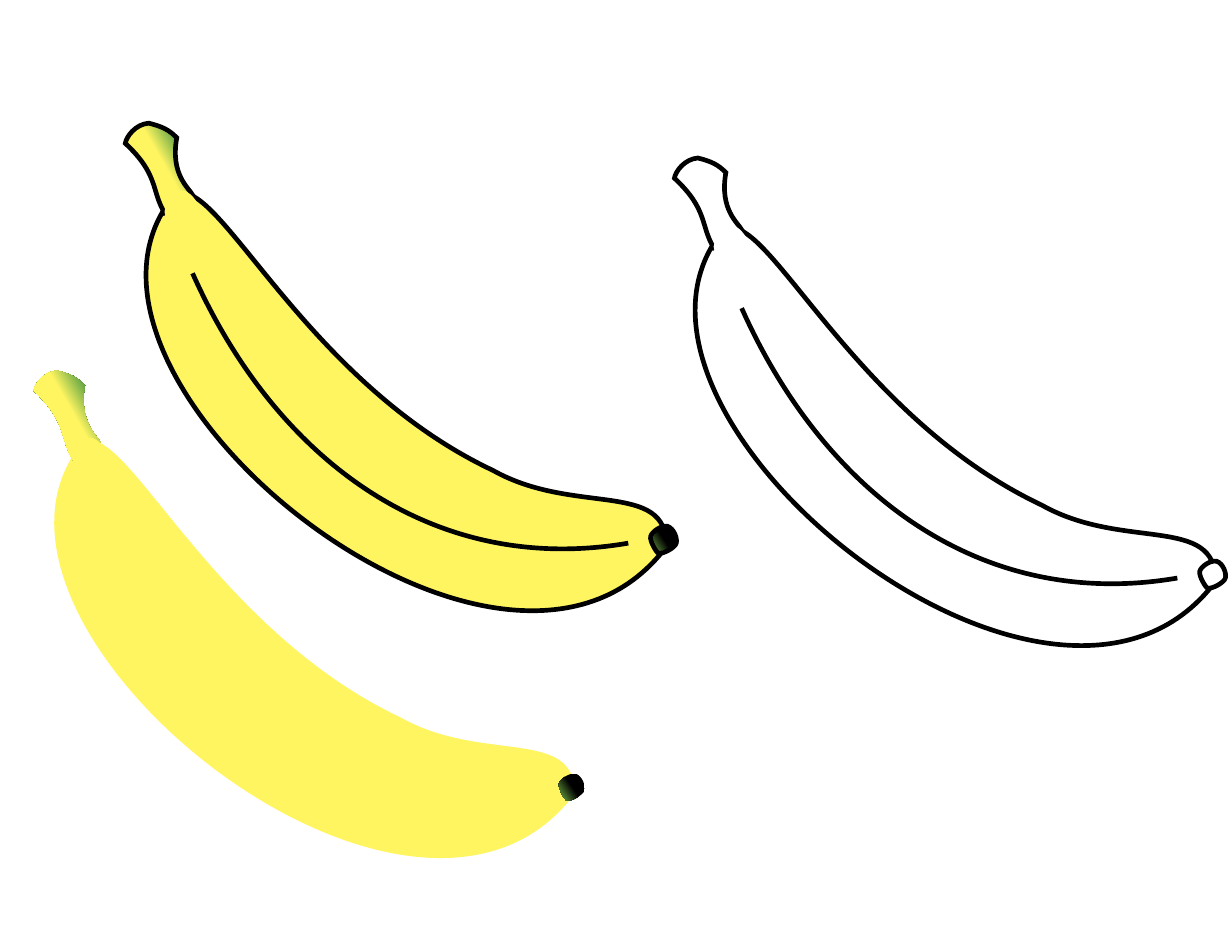
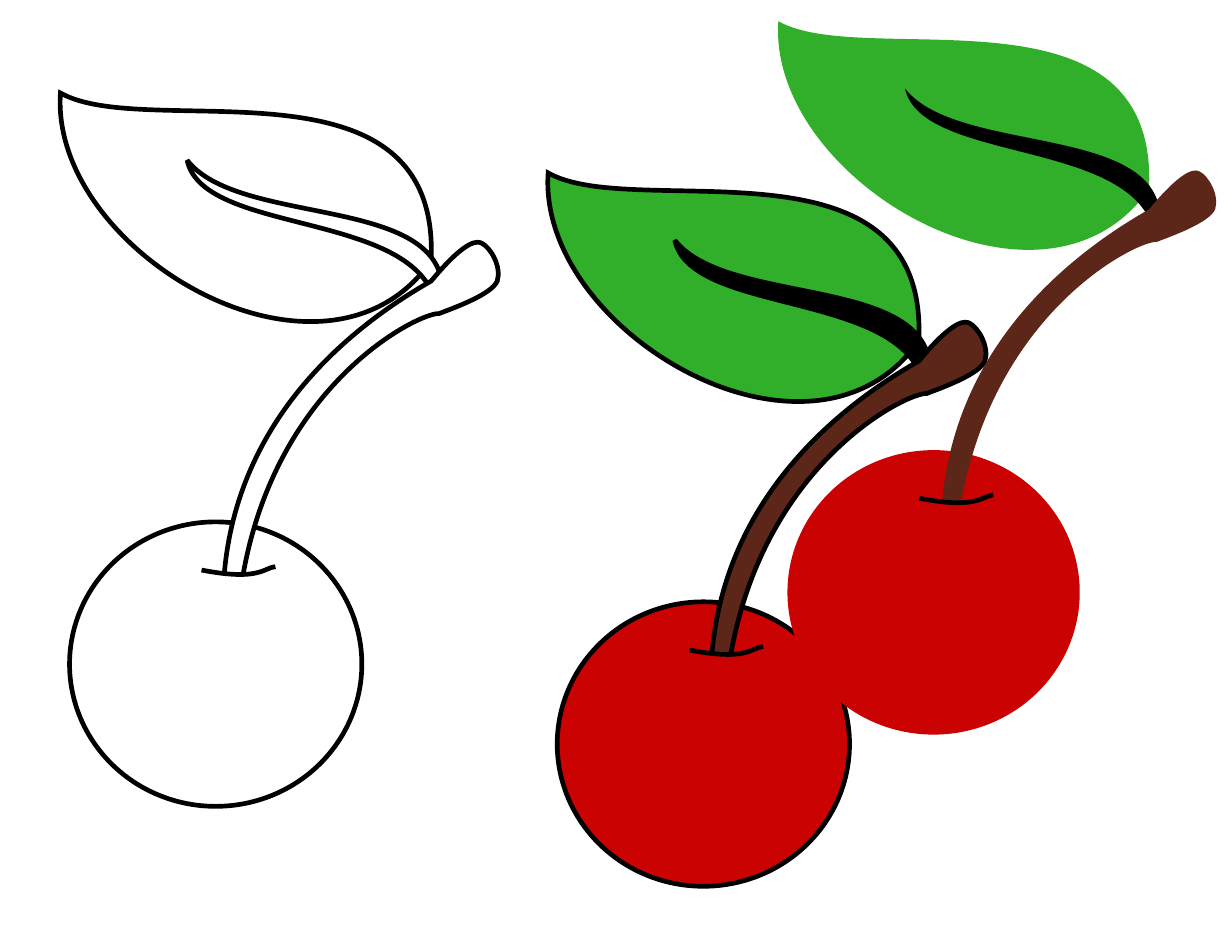
"""Build two slides of fruit drawings: bananas and cherries."""
from copy import deepcopy

from lxml import etree
from pptx import Presentation
from pptx.dml.color import RGBColor
from pptx.enum.shapes import MSO_SHAPE
from pptx.oxml.ns import qn
from pptx.util import Pt

ELLIPSE = MSO_SHAPE.OVAL
BLACK, WHITE = "000000", "FFFFFF"
YELLOW, STEM_GREEN = "FFF561", "70AD47"
LEAF_GREEN, RED, BROWN = "31AF2A", "CA0202", "5C2718"
OUTLINE_WIDTH = 3
CURVE_STEPS = 40

STEM_GRADIENT = ([(0, BLACK), (0.22, STEM_GREEN), (0.44, YELLOW)], 150)
TIP_GRADIENT = ([(0.48, BLACK), (0.98, STEM_GREEN)], 146)

# Each outline is a start point, then lines (x, y) or curves (two controls, end).
PEEL = [(28.8, 49.7), (53.3, 17.3, 108, 162.7, 236.2, 223.2),
        (288.7, 252.7, 348.5, 229, 347.8, 272.2),
        (244.8, 410.4, -58.3, 167, 28.8, 49.7)]
STEM = [(0, 13), (0.7, 8.6, 6.5, 0.7, 15.1, 0),
        (23.8, 2.2, 28.1, 4.3, 33.1, 9.4),
        (28.8, 33.1, 41, 41.8, 43.2, 46.1), (25.2, 57.6),
        (16.6, 43.2, 21.6, 33.1, 0, 13)]
TIP = [(354.2, 270), (353.5, 272.9, 345.6, 277.2, 342.7, 276.5),
       (341.3, 275.8, 337, 268.6, 337.7, 265.7),
       (338.4, 262.8, 344.2, 258.5, 348.5, 259.2),
       (352.8, 260.6, 355, 267.1, 354.2, 270)]
RIDGE = [(43.2, 96.5), (96.5, 216, 197.3, 291.6, 323.3, 270)]
STEM_JOINT = [(36.7, 71.3), (32.4, 71.3, 25.2, 61.2, 25.2, 56.9),
              (25.2, 53.3, 32.4, 43.2, 36.7, 43.2),
              (40.3, 43.2, 47.5, 49.7, 47.5, 56.9),
              (47.5, 64.8, 40.3, 71.3, 36.7, 71.3)]

LEAF = [(0, 2.9), (56.2, 34.6, 244.8, -26.6, 238.3, 110.9),
        (169.9, 208.1, -7.2, 105.1, 0, 2.9)]
VEIN = [(81.4, 46.1), (114.5, 88.6, 242.6, 68.4, 245.5, 128.2),
        (239.8, 133.2), (219.6, 79.2, 91.4, 92.9, 81.4, 46.1)]
STALK = [(238.3, 123.8), (262.1, 95, 268.6, 98.6, 270.7, 99.4),
         (276.5, 102.2, 283.7, 114.5, 280.8, 123.8),
         (277.2, 132.5, 252.7, 141.1, 243.4, 144.7),
         (230.4, 144, 136.8, 190.1, 116.6, 317.5), (105.1, 314.6),
         (113, 208.8, 191.5, 150.5, 238.3, 123.8)]
STALK_FOOT = [(96.5, 310.3), (108, 312.5, 106.6, 313.2, 128.9, 311),
              (123.8, 321.8), (96.5, 321.8)]
DIMPLE = [(90.7, 309.6), (128.2, 316.8, 130.3, 308.2, 138.2, 307.4)]


def color(hex_string):
    """Turn a hex string into a colour."""
    return RGBColor.from_string(hex_string)


def pairs(segment):
    """Split a flat segment into its points."""
    return list(zip(segment[::2], segment[1::2]))


def bounds(outline):
    """Return the left, top, right and bottom that an outline reaches."""
    reached = [outline[0]]
    for segment in outline[1:]:
        anchors = [reached[-1]] + pairs(segment)
        if len(anchors) == 4:
            for step in range(1, CURVE_STEPS):
                t = step / CURVE_STEPS
                weights = ((1 - t) ** 3, 3 * t * (1 - t) ** 2, 3 * t * t * (1 - t), t ** 3)
                reached.append(tuple(sum(weight * anchor[axis]
                                         for weight, anchor in zip(weights, anchors))
                                     for axis in (0, 1)))
        reached.append(anchors[-1])
    across, down = zip(*reached)
    return min(across), min(down), max(across), max(down)


def add_command(path, name, points):
    """Append a drawing command with its points to a path."""
    command = etree.SubElement(path, qn(name))
    for x, y in points:
        etree.SubElement(command, qn("a:pt"), x=str(Pt(x)), y=str(Pt(y)))


def set_gradient(shape, stops, angle):
    """Fill a shape with a linear gradient, its angle clockwise."""
    shape.fill.gradient()
    shape.fill.gradient_angle = 360 - angle
    stop_list = shape._element.spPr.find(qn("a:gradFill")).find(qn("a:gsLst"))
    while len(stop_list) < len(stops):
        stop_list.append(deepcopy(stop_list[-1]))
    for gradient_stop, (position, hex_string) in zip(shape.fill.gradient_stops, stops):
        gradient_stop.position = position
        gradient_stop.color.rgb = color(hex_string)


def style(shape, fill, outlined):
    """Set the fill and the outline of a shape."""
    shape.shadow.inherit = False
    if fill is None:
        shape.fill.background()
    elif isinstance(fill, tuple):
        set_gradient(shape, *fill)
    else:
        shape.fill.solid()
        shape.fill.fore_color.rgb = color(fill)
    if outlined:
        shape.line.color.rgb = color(BLACK)
        shape.line.width = Pt(OUTLINE_WIDTH)
        line = shape._element.spPr.find(qn("a:ln"))
        etree.SubElement(line, qn("a:miter"), lim="800000")
    else:
        shape.line.fill.background()


def add_outline(group, left, top, outline, fill, outlined):
    """Draw an outline relative to a corner; without a fill it stays open."""
    x1, y1, x2, y2 = bounds(outline)
    builder = group.shapes.build_freeform(Pt(left + x1), Pt(top + y1))
    builder.add_line_segments([(Pt(left + x2), Pt(top + y2))], close=False)
    shape = builder.convert_to_shape()
    path = next(shape._element.iter(qn("a:path")))
    for command in list(path):
        path.remove(command)
    for index, segment in enumerate(outline):
        points = [(x - x1, y - y1) for x, y in pairs(segment)]
        name = "a:cubicBezTo" if len(points) == 3 else "a:lnTo"
        add_command(path, name if index else "a:moveTo", points)
    if fill is not None:
        etree.SubElement(path, qn("a:close"))
    style(shape, fill, outlined)


def add_banana(slide, left, top, colored, outlined):
    """Draw a banana from the top left corner of its box."""
    group = slide.shapes.add_group_shape()
    skin = YELLOW if colored else WHITE
    add_outline(group, left, top, PEEL, skin, outlined)
    add_outline(group, left, top, STEM, STEM_GRADIENT if colored else WHITE, outlined)
    add_outline(group, left, top, TIP, TIP_GRADIENT if colored else WHITE, outlined)
    if outlined:
        add_outline(group, left, top, RIDGE, None, True)
    add_outline(group, left, top, STEM_JOINT, skin, False)


def add_cherry(slide, left, top, colored, outlined):
    """Draw a cherry with its leaf from the top left corner of its box."""
    group = slide.shapes.add_group_shape()
    leaf, vein, fruit, stalk = (LEAF_GREEN, BLACK, RED, BROWN) if colored else (WHITE,) * 4
    add_outline(group, left, top, LEAF, leaf, outlined)
    add_outline(group, left, top, VEIN, vein, outlined)
    ball = group.shapes.add_shape(ELLIPSE, Pt(left + 5.8), Pt(top + 278.6), Pt(187.9), Pt(182.9))
    style(ball, fruit, outlined)
    add_outline(group, left, top, STALK, stalk, outlined)
    add_outline(group, left, top, STALK_FOOT, fruit, False)
    add_outline(group, left, top, DIMPLE, None, True)


def main():
    """Build both slides and save them."""
    presentation = Presentation()
    presentation.slide_width, presentation.slide_height = Pt(792), Pt(612)
    blank = presentation.slide_layouts[6]

    bananas = presentation.slides.add_slide(blank)
    add_banana(bananas, 80.6, 79.2, colored=True, outlined=True)
    add_banana(bananas, 433.6, 101.6, colored=False, outlined=True)
    add_banana(bananas, 21.6, 238.2, colored=True, outlined=False)

    cherries = presentation.slides.add_slide(blank)
    add_cherry(cherries, 38.9, 56.9, colored=False, outlined=True)
    add_cherry(cherries, 352.4, 108.3, colored=True, outlined=True)
    add_cherry(cherries, 500.4, 10.8, colored=True, outlined=False)

    presentation.save("out.pptx")


if __name__ == "__main__":
    main()
